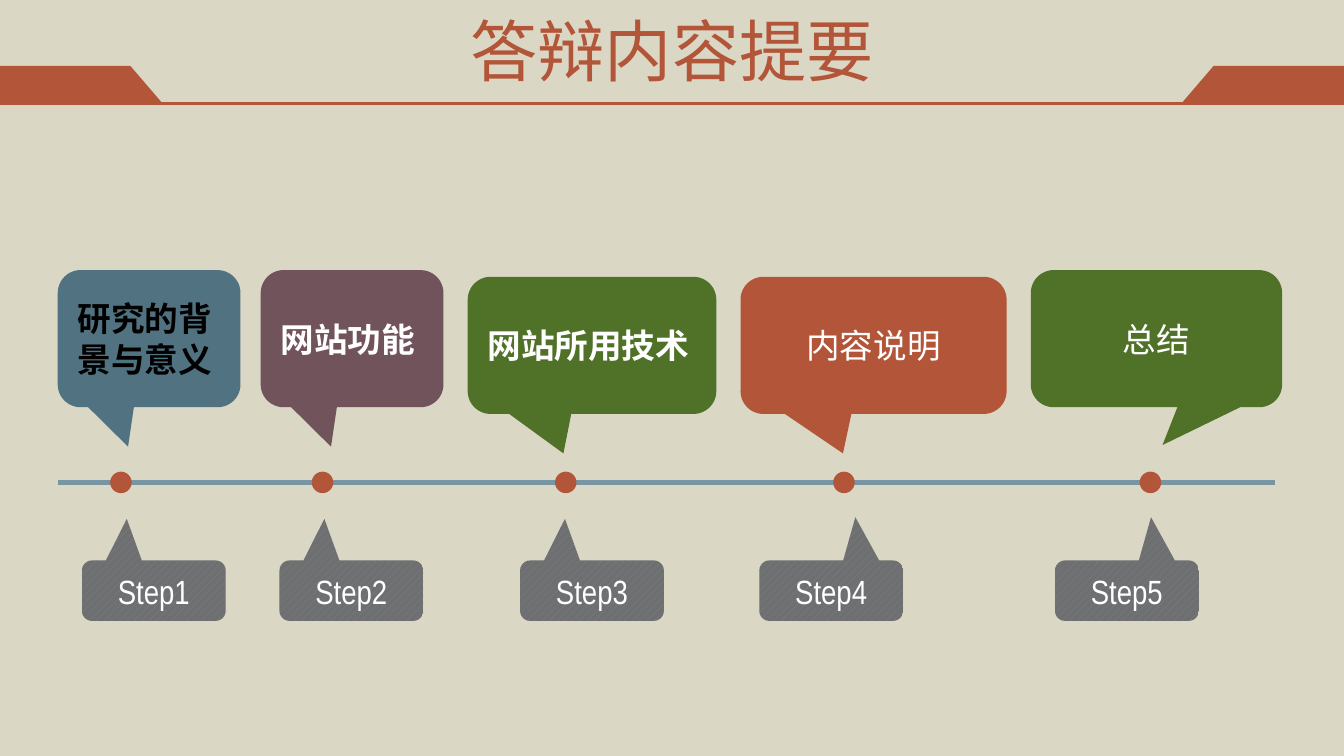
from dataclasses import dataclass

from pptx import Presentation
from pptx.dml.color import RGBColor as RGB
from pptx.enum.dml import MSO_PATTERN as PATTERN
from pptx.enum.shapes import MSO_CONNECTOR as CONN, MSO_SHAPE as SHAPE
from pptx.enum.text import MSO_ANCHOR as ANCHOR, PP_ALIGN as ALIGN
from pptx.oxml.ns import qn
from pptx.oxml.xmlchemy import OxmlElement
from pptx.util import Inches, Pt


@dataclass(frozen=True)
class Theme:
    bg: RGB = RGB.from_string("DAD7C5")
    rust: RGB = RGB.from_string("B25538")
    slate: RGB = RGB.from_string("507281")
    plum: RGB = RGB.from_string("71535C")
    green: RGB = RGB.from_string("507228")
    axis: RGB = RGB.from_string("7895A4")
    gray: RGB = RGB.from_string("6E6F71")
    hatch: RGB = RGB.from_string("808080")
    white: RGB = RGB.from_string("FFFFFF")
    black: RGB = RGB.from_string("000000")
    latin: str = "Arial Narrow"
    cjk: str = "Noto Sans CJK SC"
    title_size: int = 36
    body_size: int = 18


T = Theme()


@dataclass(frozen=True)
class Topic:
    text: str
    x: float
    y: float
    w: float
    fill: RGB
    dot_x: float
    step_x: float
    color: RGB = T.white
    bold: bool = False
    tip: tuple[float, float] = (-0.115, 0.788)
    step_tip: tuple[float, float] = (-0.188, -1.188)


RIGHT_TIP = (0.168, -1.215)
TOPICS = [
    Topic("研究的背景与意义", 0.43, 2.01, 1.36, T.slate, 0.82, 0.61, T.black, True),
    Topic("网站功能", 1.94, 2.01, 1.36, T.plum, 2.32, 2.08, bold=True),
    Topic("网站所用技术", 3.48, 2.06, 1.85, T.green, 4.13, 3.87, bold=True),
    Topic("内容说明", 5.51, 2.06, 1.98, T.rust, 6.2, 5.65, step_tip=RIGHT_TIP),
    Topic("总结", 7.67, 2.01, 1.87, T.green, 8.48, 7.85,
          tip=(0.024, 0.776), step_tip=RIGHT_TIP),
]


def add_text(p, text: str, size: int, color: RGB, latin: str, bold: bool = False) -> None:
    r = p.add_run()
    r.text = text
    r.font.size = Pt(size)
    r.font.bold = bold
    r.font.color.rgb = color
    r.font.name = latin
    ea = OxmlElement("a:ea")
    ea.set("typeface", T.cjk)
    r.font._element.find(qn("a:latin")).addnext(ea)


def paint(sp, color: RGB) -> None:
    sp.shadow.inherit = False
    sp.line.fill.background()
    sp.fill.solid()
    sp.fill.fore_color.rgb = color


def add_line(s, x1: float, x2: float, y: float, color: RGB, width: float) -> None:
    sp = s.shapes.add_connector(CONN.STRAIGHT, Inches(x1), Inches(y), Inches(x2), Inches(y))
    sp.line.color.rgb = color
    sp.line.width = Pt(width)
    sp._element.spPr.append(OxmlElement("a:effectLst"))


def add_tab(s, edge: float, top: float, bottom: float) -> None:
    corners = ((0, 0.49), (top, 0.49), (bottom, 0.77), (0, 0.77))
    points = [(Inches(abs(edge - x)), Inches(y)) for x, y in corners]
    fb = s.shapes.build_freeform(*points[0])
    fb.add_line_segments(points[1:], close=True)
    paint(fb.convert_to_shape(), T.rust)


def add_dot(s, x: float) -> None:
    paint(s.shapes.add_shape(SHAPE.OVAL, Inches(x), Inches(3.51), Inches(0.16), Inches(0.16)), T.rust)


def add_callout(s, box: tuple[float, ...], tip: tuple[float, float], fill: RGB, text: str,
                color: RGB, bold: bool = False):
    sp = s.shapes.add_shape(SHAPE.ROUNDED_RECTANGULAR_CALLOUT, *map(Inches, box))
    sp.adjustments[0], sp.adjustments[1] = tip
    paint(sp, fill)
    tf = sp.text_frame
    tf.word_wrap = True
    tf.vertical_anchor = ANCHOR.MIDDLE
    p = tf.paragraphs[0]
    p.alignment = ALIGN.LEFT if bold else ALIGN.CENTER
    add_text(p, text, T.body_size, color, T.cjk if bold else T.latin, bold)
    return sp


def add_step(s, number: int, topic: Topic) -> None:
    sp = add_callout(s, (topic.step_x, 4.17, 1.07, 0.45), topic.step_tip, T.gray,
                     f"Step{number}", T.white)
    sp.fill.patterned()
    sp.fill.pattern = PATTERN.WIDE_UPWARD_DIAGONAL
    sp.fill.fore_color.rgb = T.hatch
    sp.fill.back_color.rgb = T.gray


def add_title(s, text: str) -> None:
    sp = s.shapes.title
    sp.left, sp.top, sp.width, sp.height = map(Inches, (0.5, -0.1, 9, 0.94))
    tf = sp.text_frame
    tf.vertical_anchor = ANCHOR.MIDDLE
    p = tf.paragraphs[0]
    p.alignment = ALIGN.CENTER
    add_text(p, text, T.title_size, T.rust, T.cjk)


def main() -> None:
    prs = Presentation()
    prs.slide_width = Inches(10)
    prs.slide_height = prs.slide_width * 9 // 16
    s = prs.slides.add_slide(prs.slide_layouts[5])
    s.background.fill.solid()
    s.background.fill.fore_color.rgb = T.bg

    add_line(s, 0, 10, 0.77, T.rust, 1.5)
    for edge in (0, 10):
        add_tab(s, edge, 0.97, 1.21)
    add_title(s, "答辩内容提要")

    add_line(s, 0.43, 9.49, 3.59, T.axis, 2.25)
    for t in TOPICS:
        add_dot(s, t.dot_x)
    for number, t in enumerate(TOPICS, 1):
        add_step(s, number, t)
    for t in TOPICS:
        add_callout(s, (t.x, t.y, t.w, 1.02), t.tip, t.fill, t.text, t.color, t.bold)

    prs.save("out.pptx")


if __name__ == "__main__":
    main()
